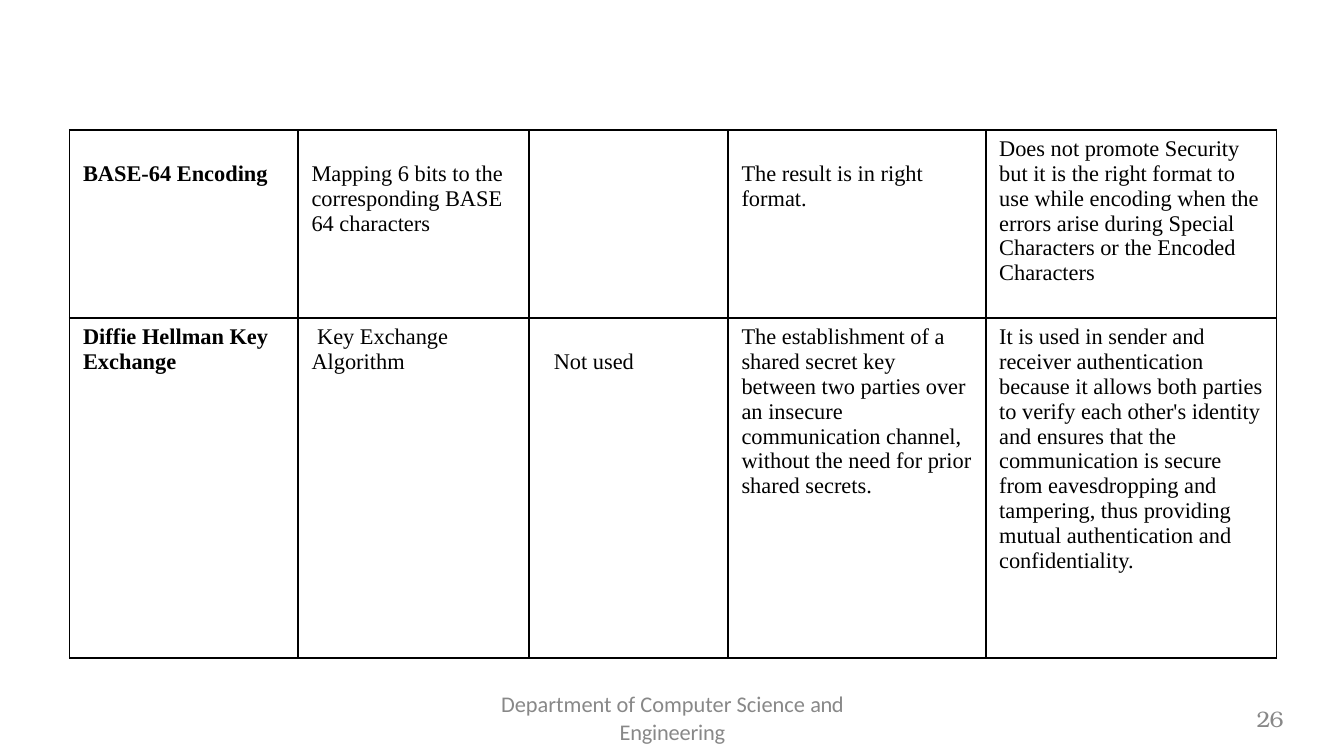
from pptx import Presentation
from pptx.dml.color import RGBColor
from pptx.enum import text
from pptx.oxml import parse_xml
from pptx.oxml.ns import nsdecls
from pptx.util import Pt

BLACK, GREY, WHITE = "000000", "888888", "FFFFFF"
LINE = 13.3
COLUMNS = [122.4, 123.8, 106.6, 138, 155.9]
ROWS = [100.8, 182]

# Each cell: text, lines skipped at the top, extra left margin
CELLS = [
    [
        ("BASE-64 Encoding", 1, 0),
        ("Mapping 6 bits to the corresponding BASE 64 characters", 1, 0),
        ("", 0, 0),
        ("The result is in right format.", 1, 0),
        ("Does not promote Security but it is the right format to use while "
         "encoding when the errors arise during Special Characters or the "
         "Encoded Characters", 0, 0),
    ],
    [
        ("Diffie Hellman Key Exchange", 0, 0),
        (" Key Exchange Algorithm", 0, 0),
        ("Not used", 1, 6),
        ("The establishment of a shared secret key between two parties over "
         "an insecure communication channel, without the need for prior "
         "shared secrets.", 0, 0),
        ("It is used in sender and receiver authentication because it allows "
         "both parties to verify each other's identity and ensures that the "
         "communication is secure from eavesdropping and tampering, thus "
         "providing mutual authentication and confidentiality.", 0, 0),
    ],
]


def rgb(value):
    return RGBColor.from_string(value)


class Page:
    def __init__(self, s, size=12):
        self.s = s
        self.size = size

    def run(self, p, words, font, color, bold=False, spacing=0):
        """Add a run; spacing is the letter spacing in points."""
        r = p.add_run()
        r.text = words
        r.font.name = font
        r.font.size = Pt(self.size)
        r.font.bold = bold
        r.font.color.rgb = rgb(color)
        if spacing:
            r._r.get_or_add_rPr().set("spc", str(round(spacing * 100)))

    def textbox(self, left, top, width, height, inset=0):
        """Add an empty wrapping box and return its text frame."""
        tf = self.s.shapes.add_textbox(
            Pt(left), Pt(top), Pt(width), Pt(height)).text_frame
        tf.word_wrap = True
        tf.margin_left = Pt(inset)
        tf.margin_right = tf.margin_top = tf.margin_bottom = 0
        return tf

    def borders(self, cell, width=1):
        tc_pr = cell._tc.get_or_add_tcPr()
        for i, side in enumerate(("lnL", "lnR", "lnT", "lnB")):
            tc_pr.insert(i, parse_xml(
                f'<a:{side} {nsdecls("a")} w="{Pt(width)}"><a:solidFill>'
                f'<a:srgbClr val="{BLACK}"/></a:solidFill></a:{side}>'))

    def cell(self, cell, words, skipped, indent, bold):
        cell.fill.solid()
        cell.fill.fore_color.rgb = rgb(WHITE)
        self.borders(cell)
        cell.margin_left = Pt(7.2 + indent)
        cell.margin_top = Pt(3.6 + skipped * LINE)
        if words:
            p = cell.text_frame.paragraphs[0]
            p.line_spacing = Pt(LINE)
            self.run(p, words, "Times New Roman", BLACK, bold)

    def table(self, left, top, columns, rows, cells):
        table = self.s.shapes.add_table(
            len(rows), len(columns), Pt(left), Pt(top),
            Pt(sum(columns)), Pt(sum(rows))).table
        table.first_row = table.horz_banding = False
        for column, width in zip(table.columns, columns):
            column.width = Pt(width)
        for row, height, contents in zip(table.rows, rows, cells):
            row.height = Pt(height)
            for i, (cell, content) in enumerate(zip(row.cells, contents)):
                self.cell(cell, *content, bold=i == 0)


def main():
    prs = Presentation()
    prs.slide_width, prs.slide_height = Pt(720), Pt(405)
    page = Page(prs.slides.add_slide(prs.slide_layouts[6]))

    page.table(37.3, 69.7, COLUMNS, ROWS, CELLS)

    footer = page.textbox(267, 371.5, 186.5, 29)
    p = footer.paragraphs[0]
    p.alignment = text.PP_ALIGN.CENTER
    p.line_spacing = Pt(12.4)
    page.run(p, "Department of Computer Science", "Calibri", GREY)
    page.run(p, " and", "Calibri", GREY, spacing=-0.2)
    p = footer.add_paragraph()
    p.alignment = text.PP_ALIGN.CENTER
    p.space_before = Pt(0.6)
    page.run(p, "Engineering", "Calibri", GREY, spacing=-0.1)

    number = page.textbox(665.3, 378, 31, 16.6, inset=8)
    page.run(number.paragraphs[0], "26", "TeX Gyre Bonum", GREY, spacing=-0.5)

    prs.save("out.pptx")


if __name__ == "__main__":
    main()
